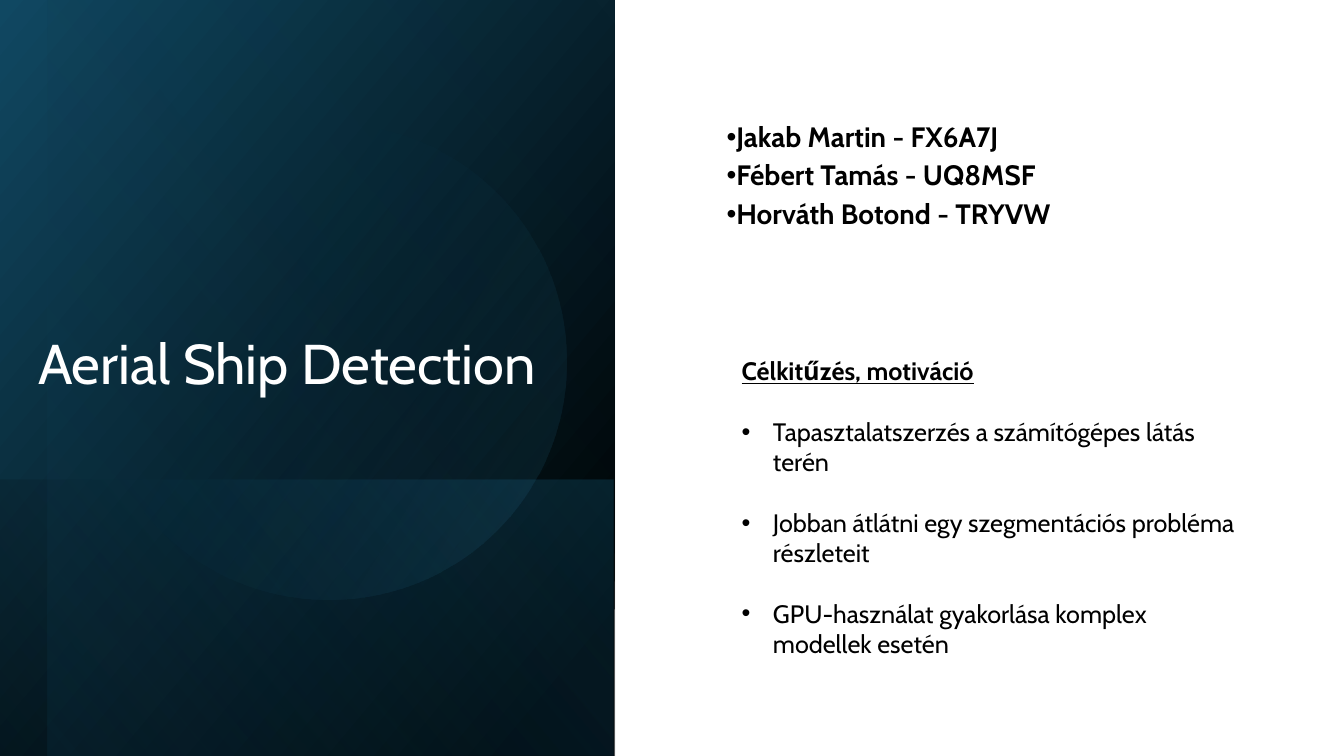
from dataclasses import dataclass

from pptx import Presentation
from pptx.dml.color import RGBColor as RGB
from pptx.enum.shapes import MSO_SHAPE as Form
from pptx.enum.text import MSO_ANCHOR as Anchor, MSO_AUTO_SIZE as Fit, PP_ALIGN as Align
from pptx.oxml import parse_xml
from pptx.oxml.ns import nsdecls
from pptx.util import Cm, Pt


@dataclass(frozen=True)
class Theme:
    """Hold the colours, font and type sizes."""
    font: str = "Cabin"
    ink: str = "000000"
    paper: str = "FFFFFF"
    navy: str = "104862"
    teal: str = "156082"
    sky: str = "46B1E1"
    head: int = 40
    names: int = 20
    body: int = 18
    gap: float = 21.7


THEME = Theme()
NAMES = ["Jakab Martin - FX6A7J", "Fébert Tamás - UQ8MSF", "Horváth Botond - TRYVW"]
GOALS = [
    "Tapasztalatszerzés a számítógépes látás terén",
    "Jobban átlátni egy szegmentációs probléma részleteit",
    "GPU-használat gyakorlása komplex modellek esetén",
]


def place(shape, box):
    """Move and size a shape to a box in centimetres."""
    shape.left, shape.top, shape.width, shape.height = map(Cm, box)


def add_glow(slide, form, box, turn, flip, angle, stops):
    """Add a turned shape with a gradient of (place, colour, opacity) stops."""
    shape = slide.shapes.add_shape(form, *map(Cm, box))
    shape.rotation = turn
    props = shape._element.spPr
    if flip:
        props.xfrm.set("flipH", "1")
    marks = "".join(
        f'<a:gs pos="{pos * 1000}"><a:srgbClr val="{tint}">'
        f'<a:alpha val="{alpha * 1000}"/></a:srgbClr></a:gs>'
        for pos, tint, alpha in stops
    )
    props.append(parse_xml(
        f'<a:gradFill {nsdecls("a")} rotWithShape="1"><a:gsLst>{marks}</a:gsLst>'
        f'<a:lin ang="{angle * 60000}" scaled="0"/></a:gradFill>'
    ))
    shape.line.fill.background()
    shape.shadow.inherit = False


def style(para, size, tint, bold=False, under=False):
    """Format every run of a paragraph."""
    for run in para.runs:
        font = run.font
        font.name, font.size = THEME.font, Pt(size)
        font.bold, font.underline = bold, under
        font.color.rgb = RGB.from_string(tint)


def add_dot(para, left, hang):
    """Give a paragraph a bullet and a hanging indent."""
    props = para._p.get_or_add_pPr()
    props.set("marL", str(Cm(left)))
    props.set("indent", str(-Cm(hang)))
    props.append(parse_xml(f'<a:buFont {nsdecls("a")} typeface="Arial"/>'))
    props.append(parse_xml(f'<a:buChar {nsdecls("a")} char="•"/>'))


def add_text(slide, box, lines, anchor):
    """Add a wrapped text box and return its paragraphs."""
    frame = slide.shapes.add_textbox(*map(Cm, box)).text_frame
    frame.word_wrap = True
    frame.vertical_anchor = anchor
    frame.text = "\n".join(lines)
    return frame.paragraphs


def set_title(slide, text, box):
    """Place the title over the panel, at the lower right of its box."""
    title = slide.shapes.title
    place(title, box)
    slide.shapes._spTree.append(title._element)
    frame = title.text_frame
    frame.text = text
    frame.word_wrap = True
    frame.auto_size = Fit.NONE
    frame.vertical_anchor = Anchor.BOTTOM
    para = frame.paragraphs[0]
    para.alignment = Align.RIGHT
    para.line_spacing = 0.9
    style(para, THEME.head, THEME.paper)


def add_panel(slide):
    """Layer the gradients of the dark left panel."""
    ink, teal = THEME.ink, THEME.teal
    add_glow(slide, Form.RECTANGLE, (-1.78, 1.78, 19.05, 15.49), 90, True, 50,
             [(8, ink, 100), (100, THEME.navy, 100)])
    add_glow(slide, Form.RECTANGLE, (4.24, 7.82, 6.96, 15.49), 90, True, 130,
             [(2, teal, 29), (100, ink, 30)])
    add_glow(slide, Form.RECTANGLE, (-1.17, 2.36, 19.05, 14.3), 90, True, 130,
             [(0, ink, 0), (99, teal, 11)])
    add_glow(slide, Form.OVAL, (2.29, 3.12, 11.99, 11.99), 101.6, False, 290,
             [(39, teal, 0), (100, THEME.sky, 15)])


def add_names(slide):
    """List the team members."""
    for para in add_text(slide, (18.06, 1.93, 13.51, 5.05), NAMES, Anchor.MIDDLE):
        para.line_spacing = 0.9
        para.space_after = Pt(6)
        add_dot(para, 0, 0.64)
        style(para, THEME.names, THEME.ink, bold=True)


def add_goals(slide):
    """List the goals under their heading."""
    lines = ["Célkitűzés, motiváció", *GOALS]
    head, *goals = add_text(slide, (18.44, 8.84, 13.13, 8.71), lines, Anchor.TOP)
    style(head, THEME.body, THEME.ink, bold=True, under=True)
    for para in goals:
        para.space_before = Pt(THEME.gap)
        add_dot(para, 0.79, 0.79)
        style(para, THEME.body, THEME.ink)


def main():
    """Build and save the slide."""
    deck = Presentation()
    deck.slide_width, deck.slide_height = Cm(33.87), Cm(19.05)
    slide = deck.slides.add_slide(deck.slide_layouts[5])
    add_panel(slide)
    set_title(slide, "Aerial Ship Detection ", (-0.03, 0, 14.1, 10.13))
    add_names(slide)
    add_goals(slide)
    deck.save("out.pptx")


if __name__ == "__main__":
    main()
